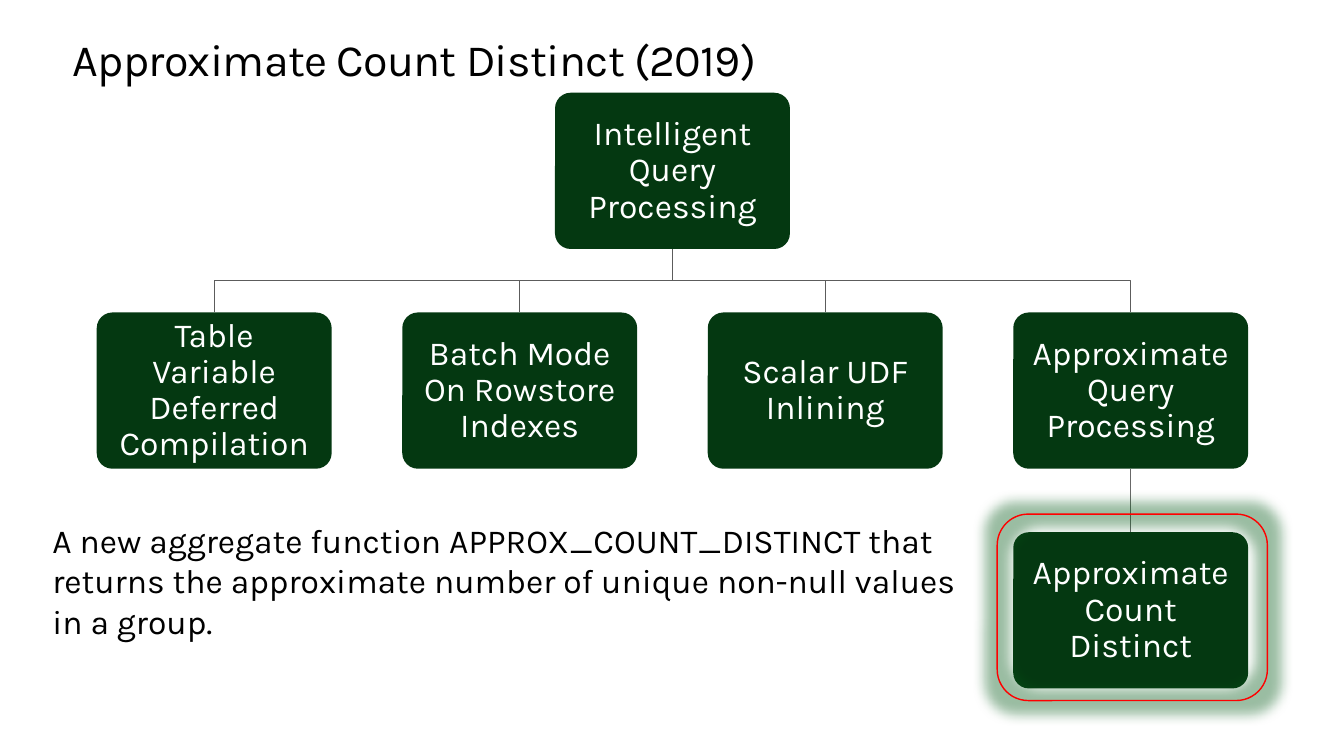
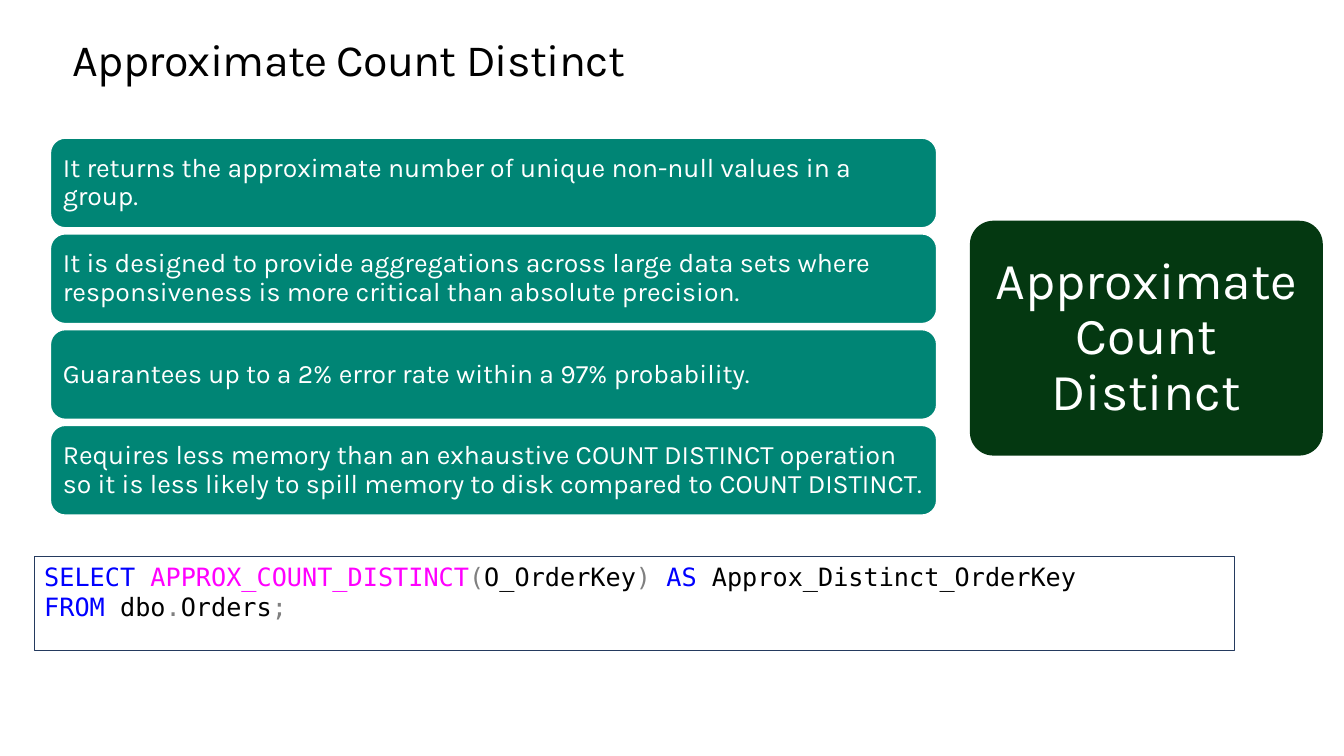
from dataclasses import dataclass
from typing import NamedTuple

from lxml import etree
from pptx import Presentation
from pptx.dml.color import RGBColor
from pptx.enum.shapes import MSO_CONNECTOR, MSO_SHAPE
from pptx.enum.text import MSO_ANCHOR, PP_ALIGN
from pptx.oxml.ns import qn
from pptx.presentation import Presentation as Deck
from pptx.shapes.autoshape import Shape
from pptx.slide import Slide
from pptx.text.text import _Paragraph as Paragraph
from pptx.util import Inches, Pt

ROUNDED = MSO_SHAPE.ROUNDED_RECTANGLE
RECTANGLE = MSO_SHAPE.RECTANGLE
STRAIGHT = MSO_CONNECTOR.STRAIGHT
LEFT, CENTER = PP_ALIGN.LEFT, PP_ALIGN.CENTER
TOP, MIDDLE = MSO_ANCHOR.TOP, MSO_ANCHOR.MIDDLE

BLACK = RGBColor(0x00, 0x00, 0x00)
WHITE = RGBColor(0xFF, 0xFF, 0xFF)
DARK_GREEN = RGBColor(0x04, 0x38, 0x11)
GLOW_GREEN = RGBColor(0x04, 0x5A, 0x18)
TEAL = RGBColor(0x00, 0x85, 0x75)
RED = RGBColor(0xFF, 0x00, 0x00)
NAVY = RGBColor(0x24, 0x3A, 0x5E)
BRANCH_GRAY = RGBColor(0x5C, 0x5C, 0x5C)
STEM_GRAY = RGBColor(0x68, 0x68, 0x68)
KEYWORD = RGBColor(0x00, 0x00, 0xFF)
FUNCTION = RGBColor(0xFF, 0x00, 0xFF)
SYMBOL = RGBColor(0x80, 0x80, 0x80)

BODY_FONT = "Karla"
CODE_FONT = "DejaVu Sans Mono"

NODE_WIDTH, NODE_HEIGHT = 2.33, 1.55
NODE_LEFT, NODE_TOP = 0.96, 0.92
COLUMN_STEP, LEVEL_STEP = 3.03, 2.18
BAR_TOP, BAR_STEP = 1.37, 0.95


class Area(NamedTuple):
    left: float
    top: float
    width: float
    height: float

    def lengths(self) -> list[int]:
        return [Inches(value) for value in self]


class Span(NamedTuple):
    text: str
    color: RGBColor


@dataclass(frozen=True)
class Node:
    text: str
    column: float
    level: int

    @property
    def area(self) -> Area:
        return Area(NODE_LEFT + self.column * COLUMN_STEP,
                    NODE_TOP + self.level * LEVEL_STEP, NODE_WIDTH, NODE_HEIGHT)

    @property
    def middle(self) -> float:
        return self.area.left + NODE_WIDTH / 2

    @property
    def bottom(self) -> float:
        return self.area.top + NODE_HEIGHT


@dataclass(frozen=True)
class BoxStyle:
    fill: RGBColor | None = None
    line: RGBColor | None = None
    line_width: float = 1
    corner: float | None = None


@dataclass(frozen=True)
class TextStyle:
    size: float
    color: RGBColor = WHITE
    inset: float = 0.1
    align: PP_ALIGN = LEFT


GREEN_BOX = BoxStyle(fill=DARK_GREEN, corner=0.1)
TEAL_BAR = BoxStyle(fill=TEAL, line=WHITE)
RED_FRAME = BoxStyle(line=RED)
CODE_FRAME = BoxStyle(line=NAVY, line_width=0.75)
NODE_TEXT = TextStyle(24, align=CENTER)
TOPIC_TEXT = TextStyle(37, inset=0.15, align=CENTER)
BAR_TEXT = TextStyle(19, inset=0.08)

ROOT = Node("Intelligent Query Processing", 1.5, 0)
BRANCHES = [
    Node(text, column, 1)
    for column, text in enumerate([
        "Table Variable Deferred Compilation",
        "Batch Mode On Rowstore Indexes",
        "Scalar UDF Inlining",
        "Approximate Query Processing",
    ])
]
LEAF = Node("Approximate Count Distinct", 3, 2)

SUMMARY = ("A new aggregate function APPROX_COUNT_DISTINCT that returns the "
           "approximate number of unique non-null values in a group.")
FACTS = [
    "It returns the approximate number of unique non-null values in a group.",
    "It is designed to provide aggregations across large data sets where "
    "responsiveness is more critical than absolute precision.",
    "Guarantees up to a 2% error rate within a 97% probability.",
    "Requires less memory than an exhaustive COUNT DISTINCT operation so it is "
    "less likely to spill memory to disk compared to COUNT DISTINCT.",
]
QUERY = [
    [Span("SELECT ", KEYWORD), Span("APPROX_COUNT_DISTINCT", FUNCTION),
     Span("(", SYMBOL), Span("O_OrderKey", BLACK), Span(") ", SYMBOL),
     Span("AS ", KEYWORD), Span("Approx_Distinct_OrderKey", BLACK)],
    [Span("FROM ", KEYWORD), Span("dbo", BLACK), Span(".", SYMBOL),
     Span("Orders", BLACK), Span(";", SYMBOL)],
]


def add_spans(para: Paragraph, spans: list[Span], size: float, font: str = BODY_FONT) -> None:
    for span in spans:
        run = para.add_run()
        run.text = span.text
        run.font.name = font
        run.font.size = Pt(size)
        run.font.color.rgb = span.color


def add_box(slide: Slide, kind: MSO_SHAPE, area: Area, style: BoxStyle) -> Shape:
    box = slide.shapes.add_shape(kind, *area.lengths())
    box.shadow.inherit = False
    if style.corner is not None:
        box.adjustments[0] = style.corner
    if style.fill is None:
        box.fill.background()
    else:
        box.fill.solid()
        box.fill.fore_color.rgb = style.fill
    if style.line is None:
        box.line.fill.background()
    else:
        box.line.color.rgb = style.line
        box.line.width = Pt(style.line_width)
    return box


def add_label(slide: Slide, area: Area, text: str, box_style: BoxStyle, style: TextStyle) -> None:
    """Draw a rounded box with its text centred vertically."""
    frame = add_box(slide, ROUNDED, area, box_style).text_frame
    frame.word_wrap = True
    frame.vertical_anchor = MIDDLE
    frame.margin_left = frame.margin_right = Inches(style.inset)
    frame.margin_top = frame.margin_bottom = Inches(style.inset)
    para = frame.paragraphs[0]
    para.alignment = style.align
    para.line_spacing = 0.9
    add_spans(para, [Span(text, style.color)], style.size)


def add_text(slide: Slide, area: Area, text: str, size: float) -> Shape:
    box = slide.shapes.add_textbox(*area.lengths())
    box.text_frame.word_wrap = True
    add_spans(box.text_frame.paragraphs[0], [Span(text, BLACK)], size)
    return box


def add_titled_slide(deck: Deck, title: str) -> Slide:
    slide = deck.slides.add_slide(deck.slide_layouts[6])
    frame = add_text(slide, Area(0.72, 0.35, 11.9, 0.5), title, 32).text_frame
    frame.margin_left = frame.margin_right = 0
    frame.margin_top = frame.margin_bottom = 0
    para = frame.paragraphs[0]
    para.line_spacing = Pt(36.2)
    para.runs[0].font._element.set("spc", "-50")
    return slide


def add_branch(slide: Slide, parent: Node, child: Node) -> None:
    """Draw a bent line from the foot of the parent to the top of the child."""
    bend = (parent.bottom + child.area.top) / 2
    builder = slide.shapes.build_freeform(Inches(parent.middle), Inches(parent.bottom))
    points = [(parent.middle, bend), (child.middle, bend), (child.middle, child.area.top)]
    builder.add_line_segments([(Inches(x), Inches(y)) for x, y in points], close=False)
    branch = builder.convert_to_shape()
    branch.shadow.inherit = False
    branch.fill.background()
    branch.line.color.rgb = BRANCH_GRAY
    branch.line.width = Pt(1)


def add_stem(slide: Slide, parent: Node, child: Node) -> None:
    """Draw a straight line down from the parent to the child."""
    stem = slide.shapes.add_connector(
        STRAIGHT, Inches(parent.middle), Inches(parent.bottom),
        Inches(child.middle), Inches(child.area.top))
    stem.line.color.rgb = STEM_GRAY
    stem.line.width = Pt(1)
    etree.SubElement(stem._element.spPr, qn("a:effectLst"))


def add_glow(box: Shape, color: RGBColor, radius: float, opacity: int) -> None:
    effects = box._element.spPr.find(qn("a:effectLst"))
    glow = etree.SubElement(effects, qn("a:glow"), rad=str(Pt(radius)))
    tint = etree.SubElement(glow, qn("a:srgbClr"), val=str(color))
    etree.SubElement(tint, qn("a:alpha"), val=str(opacity * 1000))


def build_tree_slide(deck: Deck) -> None:
    slide = add_titled_slide(deck, "Approximate Count Distinct (2019)")
    for branch in BRANCHES:
        add_branch(slide, ROOT, branch)
    add_stem(slide, BRANCHES[-1], LEAF)
    for node in [ROOT, *BRANCHES, LEAF]:
        add_label(slide, node.area, node.text, GREEN_BOX, NODE_TEXT)
    highlight = add_box(slide, ROUNDED, Area(9.89, 5.1, 2.68, 1.85), RED_FRAME)
    add_glow(highlight, GLOW_GREEN, radius=18, opacity=40)
    add_text(slide, Area(0.42, 5.11, 9.35, 1.31), SUMMARY, 24)


def build_facts_slide(deck: Deck) -> None:
    slide = add_titled_slide(deck, "Approximate Count Distinct")
    add_label(slide, Area(9.62, 2.19, 3.5, 2.33), LEAF.text, GREEN_BOX, TOPIC_TEXT)
    for index, fact in enumerate(FACTS):
        area = Area(0.5, BAR_TOP + index * BAR_STEP, 8.79, 0.89)
        add_label(slide, area, fact, TEAL_BAR, BAR_TEXT)

    frame = add_box(slide, RECTANGLE, Area(0.34, 5.52, 11.9, 0.93), CODE_FRAME).text_frame
    frame.word_wrap = True
    frame.vertical_anchor = TOP
    for index, spans in enumerate(QUERY):
        para = frame.add_paragraph() if index else frame.paragraphs[0]
        para.alignment = LEFT
        add_spans(para, spans, 18, CODE_FONT)


def main() -> None:
    deck = Presentation()
    deck.slide_width, deck.slide_height = Inches(13.33), Inches(7.5)
    build_tree_slide(deck)
    build_facts_slide(deck)
    deck.save("out.pptx")


if __name__ == "__main__":
    main()
